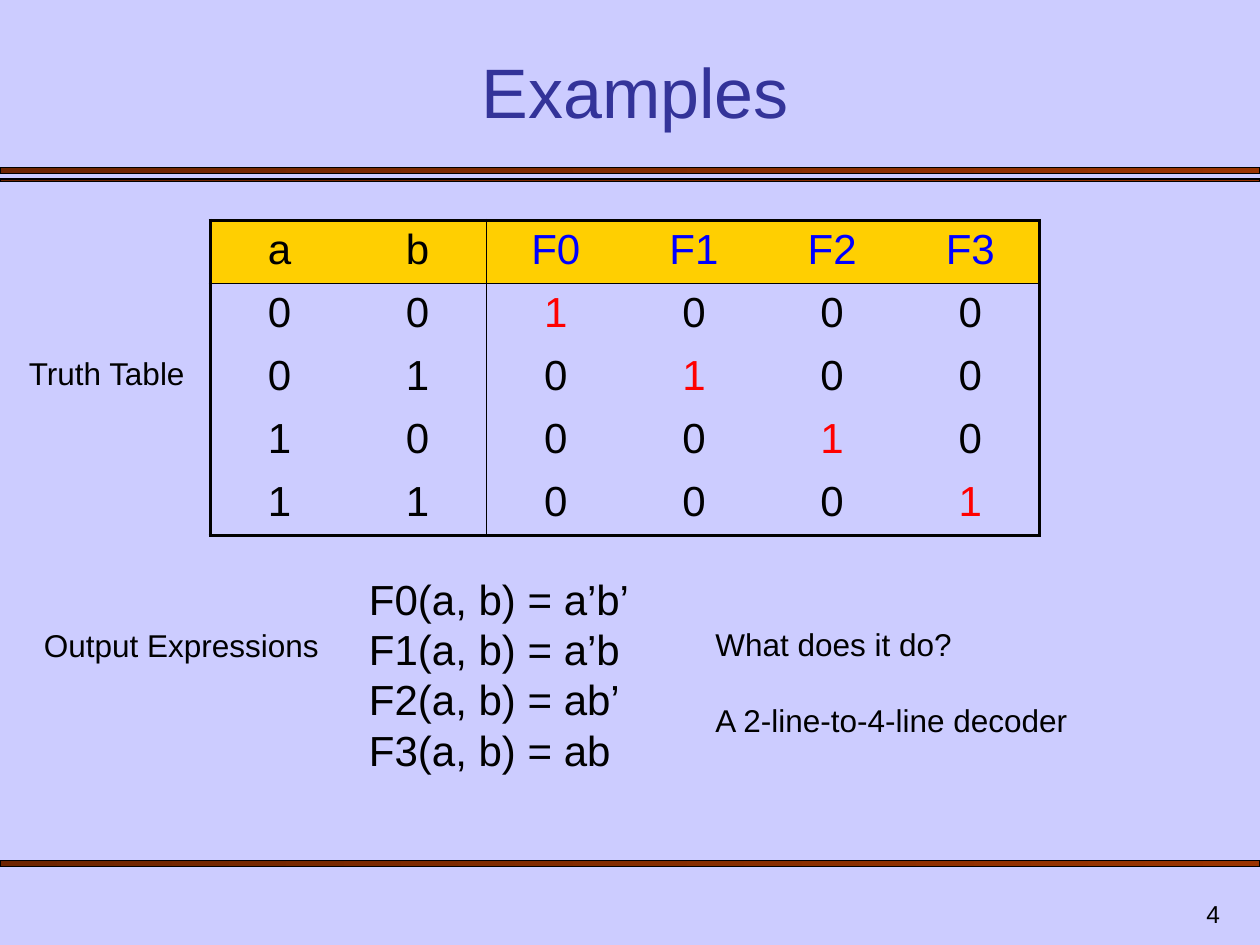
from lxml import etree
from pptx import Presentation
from pptx.dml.color import RGBColor
from pptx.enum.shapes import MSO_SHAPE
from pptx.enum.text import MSO_ANCHOR, MSO_AUTO_SIZE, PP_ALIGN
from pptx.oxml.ns import qn
from pptx.util import Inches, Pt

RECTANGLE = MSO_SHAPE.RECTANGLE
TOP, BOTTOM = MSO_ANCHOR.TOP, MSO_ANCHOR.BOTTOM
GROW = MSO_AUTO_SIZE.SHAPE_TO_FIT_TEXT
LEFT, CENTER, RIGHT = PP_ALIGN.LEFT, PP_ALIGN.CENTER, PP_ALIGN.RIGHT

FONT = "Arial"
LAVENDER = RGBColor(0xCC, 0xCC, 0xFF)
INDIGO = RGBColor(0x33, 0x33, 0x99)
BLACK = RGBColor(0x00, 0x00, 0x00)
BLUE = RGBColor(0x00, 0x00, 0xFF)
RED = RGBColor(0xFF, 0x00, 0x00)
GOLD = RGBColor(0xFF, 0xCF, 0x01)
DARK_RUST = RGBColor(0x6D, 0x24, 0x00)
RUST = RGBColor(0x99, 0x33, 0x00)

INPUTS = ["a", "b"]
OUTPUTS = ["F0", "F1", "F2", "F3"]
EXPRESSIONS = ["F0(a, b) = a’b’", "F1(a, b) = a’b",
               "F2(a, b) = ab’", "F3(a, b) = ab"]
OUTER, INNER = 2.25, 1  # table rule widths in points


def add_run(paragraph, text, size, color=BLACK):
    run = paragraph.add_run()
    run.text = text
    run.font.name = FONT
    run.font.size = Pt(size)
    run.font.color.rgb = color


def add_text(slide, box, paragraphs, size, color=BLACK, align=LEFT,
             anchor=TOP, wrap=True, gap=0):
    """Each paragraph is a list of lines; gap is the space between paragraphs."""
    frame = slide.shapes.add_textbox(*map(Inches, box)).text_frame
    frame.word_wrap = wrap
    frame.auto_size = GROW
    frame.vertical_anchor = anchor
    for number, lines in enumerate(paragraphs):
        paragraph = frame.add_paragraph() if number else frame.paragraphs[0]
        paragraph.alignment = align
        if number:
            paragraph.space_before = Pt(gap)
        for line_number, line in enumerate(lines):
            if line_number:
                paragraph.add_line_break()
            add_run(paragraph, line, size, color)


def add_bar(slide, box):
    bar = slide.shapes.add_shape(RECTANGLE, *map(Inches, box))
    bar.shadow.inherit = False
    bar.fill.gradient()
    bar.fill.gradient_angle = 0
    for stop, position, color in zip(bar.fill.gradient_stops, (0, 1),
                                     (DARK_RUST, RUST)):
        stop.position = position
        stop.color.rgb = color
    bar.line.color.rgb = BLACK
    bar.line.width = Pt(0.75)


def set_borders(cell, widths):
    """Widths in points for left, right, top and bottom; 0 means no line."""
    properties = cell._tc.get_or_add_tcPr()
    for side, width in zip("LRTB", widths):
        line = etree.SubElement(properties, qn(f"a:ln{side}"), w=str(Pt(width)))
        if width:
            fill = etree.SubElement(line, qn("a:solidFill"))
            etree.SubElement(fill, qn("a:srgbClr"), val=str(BLACK))
        else:
            etree.SubElement(line, qn("a:noFill"))


def add_truth_table(slide, box):
    # One row per input combination; output n is 1 only in row n
    body = [[n // 2, n % 2] + [int(n == k) for k in range(len(OUTPUTS))]
            for n in range(len(OUTPUTS))]
    rows = [INPUTS + OUTPUTS] + body
    last_row, last_column = len(rows) - 1, len(rows[0]) - 1
    split = len(INPUTS)
    table = slide.shapes.add_table(len(rows), len(rows[0]),
                                   *map(Inches, box)).table
    table.first_row = table.horz_banding = False

    for r, values in enumerate(rows):
        for c, value in enumerate(values):
            cell = table.cell(r, c)
            is_output = c >= split
            set_borders(cell, (
                OUTER if c == 0 else INNER if c == split else 0,
                OUTER if c == last_column else INNER if c == split - 1 else 0,
                OUTER if r == 0 else INNER if r == 1 else 0,
                OUTER if r == last_row else INNER if r == 0 else 0))
            if r == 0:
                cell.fill.solid()
                cell.fill.fore_color.rgb = GOLD
                color = BLUE if is_output else BLACK
            else:
                cell.fill.background()
                color = RED if is_output and value else BLACK
            paragraph = cell.text_frame.paragraphs[0]
            paragraph.alignment = CENTER
            add_run(paragraph, str(value), 24, color)


def add_frame(slide, box):
    """Background, title, rules and page number."""
    left, top, width, height = box
    slide.background.fill.solid()
    slide.background.fill.fore_color.rgb = LAVENDER
    for offset, thickness in ((1.33, 0.05), (1.42, 0.02), (6.83, 0.05)):
        add_bar(slide, (left, top + offset, width, thickness))
    add_text(slide, (left + 0.58, top + 0.33, width - 1.08, 0.77),
             [["Examples"]], 40, INDIGO, CENTER, BOTTOM)
    add_text(slide, (left + width - 2.3, top + height - 0.5, 2.08, 0.42),
             [["4"]], 14, align=RIGHT, anchor=BOTTOM)


def add_expressions(slide, box):
    """Output expressions with their label and the question beside them."""
    left, top, width, height = box
    add_text(slide, (left, top + 0.42, 2.4, 0.4),
             [["Output Expressions"]], 18, wrap=False)
    add_text(slide, (left + 2.58, top, 2.58, height), [EXPRESSIONS], 24)
    add_text(slide, (left + width - 3.5, top + 0.41, 3.5, 1.01),
             [["What does it do?"], ["A 2-line-to-4-line decoder"]], 18, gap=22)


def main():
    presentation = Presentation()
    presentation.slide_width = Inches(10)
    presentation.slide_height = Inches(7.5)
    slide = presentation.slides.add_slide(presentation.slide_layouts[6])
    add_frame(slide, (0, 0, 10, 7.5))
    add_text(slide, (0.13, 2.76, 1.45, 0.4), [["Truth Table"]], 18, wrap=False)
    add_truth_table(slide, (1.67, 1.75, 6.58, 2.5))
    add_expressions(slide, (0.25, 4.5, 8.83, 1.7))
    presentation.save("out.pptx")


if __name__ == "__main__":
    main()
